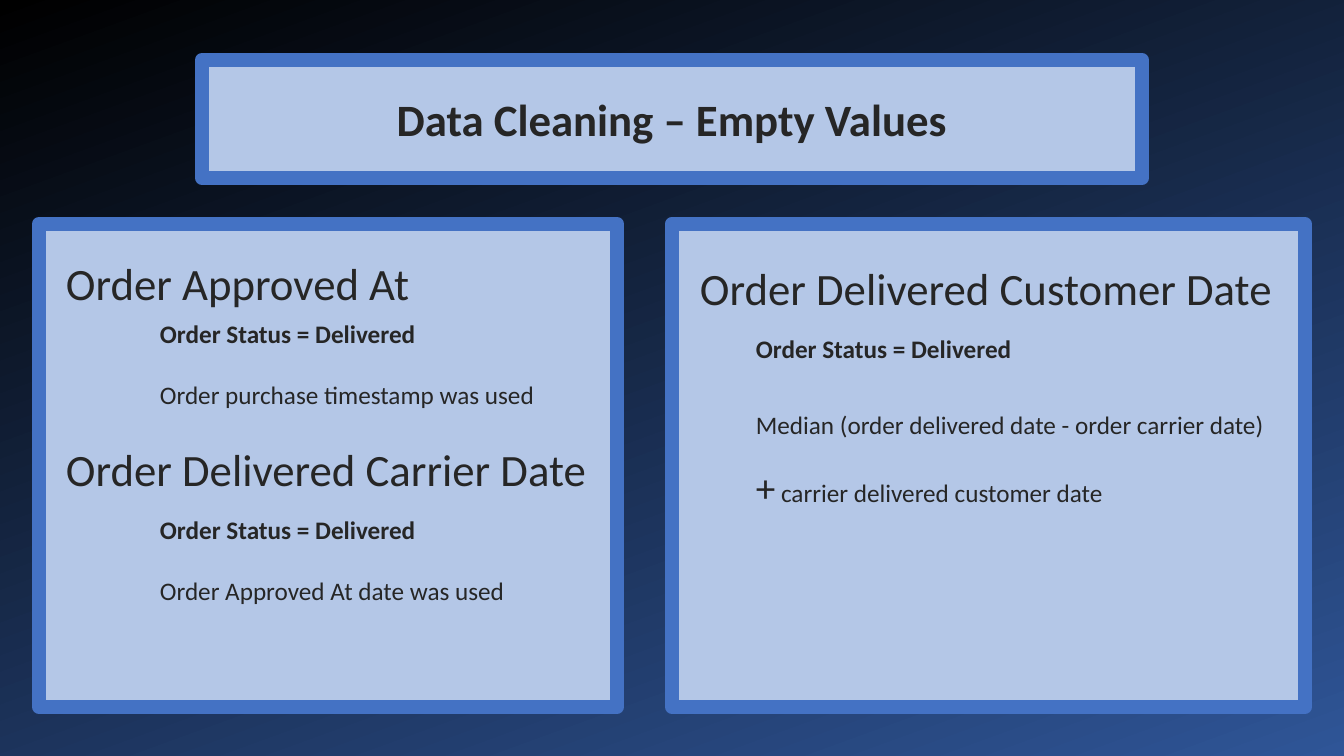
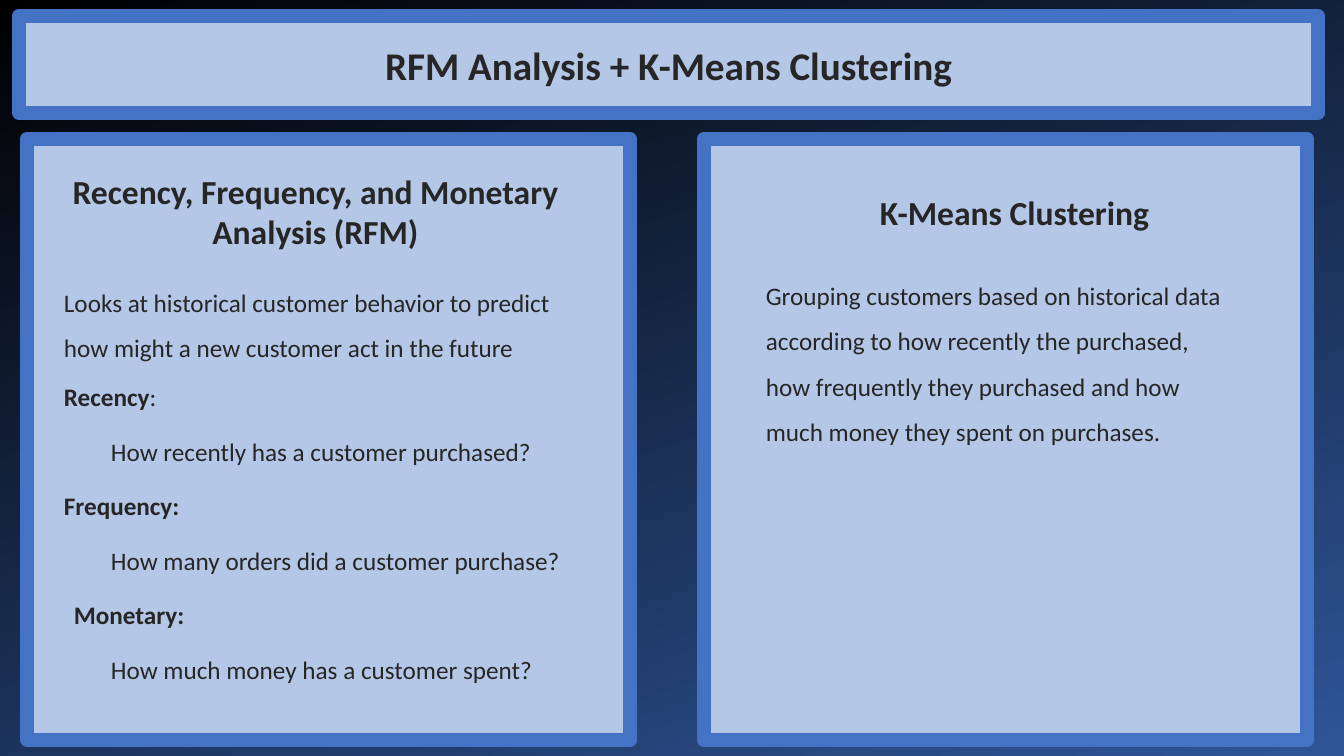
from pptx import Presentation
from pptx.dml.color import RGBColor
from pptx.enum.shapes import MSO_SHAPE
from pptx.enum.text import MSO_ANCHOR, MSO_AUTO_SIZE, PP_ALIGN
from pptx.util import Emu, Pt

SCALE = 914400 / 100.8
SLIDE_SIZE = (1344, 756)
TITLE_ONLY = 5

BLACK = RGBColor(0x00, 0x00, 0x00)
DEEP_BLUE = RGBColor(0x2F, 0x55, 0x97)
PANEL_BLUE = RGBColor(0xB4, 0xC7, 0xE7)
BORDER_BLUE = RGBColor(0x44, 0x72, 0xC4)
INK = RGBColor(0x26, 0x26, 0x26)

FONT = "Calibri"
BORDER = Pt(10)
BODY_SIZE = 18
CENTERED = {"alignment": PP_ALIGN.CENTER}
AIRY = {"line_spacing": 1.5}
AFTER_GAP = {"space_before": Pt(22)}


def px(length):
    """Turn pixels into EMU."""
    return Emu(round(length * SCALE))


def apply(target, values):
    """Set each named attribute of the target."""
    for name, value in values.items():
        setattr(target, name, value)


def place(shape, area):
    """Move a shape to a left, top, width, height area in pixels."""
    apply(shape, dict(zip(("left", "top", "width", "height"), map(px, area))))


def write(para, text, size=BODY_SIZE, bold=False):
    """Add one formatted run to a paragraph."""
    span = para.add_run()
    span.text = text
    apply(span.font, {"name": FONT, "size": Pt(size), "bold": bold})
    span.font.color.rgb = INK


def paint_panel(shape):
    """Give a shape the shared panel fill and thick border."""
    shape.fill.solid()
    shape.fill.fore_color.rgb = PANEL_BLUE
    shape.line.color.rgb = BORDER_BLUE
    shape.line.width = BORDER


def add_panel(page, area):
    """Add a bordered content panel."""
    panel = page.shapes.add_shape(MSO_SHAPE.RECTANGLE, *map(px, area))
    panel.shadow.inherit = False
    paint_panel(panel)


def add_text(page, area, *paragraphs):
    """Add a text box from pairs of paragraph format and runs."""
    frame = page.shapes.add_textbox(*map(px, area)).text_frame
    frame.word_wrap = True
    for index, (layout, runs) in enumerate(paragraphs):
        para = frame.add_paragraph() if index else frame.paragraphs[0]
        apply(para, layout)
        for run in runs:
            write(para, *run)


def add_heading(page, area, text):
    """Add a large left-aligned heading."""
    add_text(page, area, ({}, [(text, 32)]))


def add_subtitle(page, area, text):
    """Add a bold centred panel heading."""
    add_text(page, area, (CENTERED, [(text, 24, True)]))


def add_rule(page, area, *methods):
    """Add the delivered status followed by how empty values are filled."""
    status = ({}, [("Order Status = Delivered", BODY_SIZE, True)])
    add_text(page, area, status, *methods)


def add_page(deck, title, area, size):
    """Add a slide whose title is a bordered band."""
    page = deck.slides.add_slide(deck.slide_layouts[TITLE_ONLY])
    band = page.shapes.title
    place(band, area)
    paint_panel(band)
    apply(band.text_frame, {"word_wrap": True, "auto_size": MSO_AUTO_SIZE.NONE,
                            "vertical_anchor": MSO_ANCHOR.MIDDLE})
    para = band.text_frame.paragraphs[0]
    apply(para, CENTERED)
    write(para, title, size, True)
    return page


def set_backdrop(deck):
    """Give the master a slanted gradient background."""
    fill = deck.slide_master.background.fill
    fill.gradient()
    fill.gradient_angle = 290
    for stop, color, position in zip(fill.gradient_stops, (BLACK, DEEP_BLUE), (0, 1)):
        stop.color.rgb = color
        stop.position = position


def build_cleaning(deck):
    """Build the slide on empty values."""
    page = add_page(deck, "Data Cleaning – Empty Values", (202, 60, 940, 118), 32)
    for left, width in ((39, 578), (672, 633)):
        add_panel(page, (left, 224, width, 483))

    for top, heading, rule_top, method in (
        (251, "Order Approved At", 313, "Order purchase timestamp was used"),
        (437, "Order Delivered Carrier Date", 509, "Order Approved At date was used"),
    ):
        add_heading(page, (56, top, 555, 65), heading)
        add_rule(page, (150, rule_top, 410, 102), (AFTER_GAP, [(method,)]))

    add_heading(page, (690, 256, 608, 65), "Order Delivered Customer Date")
    add_rule(
        page, (746, 328, 541, 180),
        (AIRY | AFTER_GAP, [("Median (order delivered date - order carrier date)",)]),
        (AIRY, [("+", 28), (" carrier delivered customer date",)]),
    )


def build_clustering(deck):
    """Build the slide on RFM analysis and clustering."""
    page = add_page(deck, "RFM Analysis + K-Means Clustering", (19, 16, 1299, 97), 28)
    for left in (27, 704):
        add_panel(page, (left, 139, 603, 601))

    add_subtitle(page, (34, 166, 563, 92),
                 "Recency, Frequency, and Monetary Analysis (RFM)")
    add_text(page, (54, 267, 523, 97), (AIRY, [(
        "Looks at historical customer behavior to predict "
        "how might a new customer act in the future",)]))

    measures = (
        (54, [("Recency", BODY_SIZE, True), (":",)],
         "How recently has a customer purchased?"),
        (54, [("Frequency:", BODY_SIZE, True)],
         "How many orders did a customer purchase?"),
        (64, [("Monetary:", BODY_SIZE, True)],
         "How much money has a customer spent?"),
    )
    for row, (left, term, question) in enumerate(measures):
        top = 376 + 109 * row
        add_text(page, (left, top, 140, 40), ({}, term))
        add_text(page, (101, top + 55, 490, 40), ({}, [(question,)]))

    add_subtitle(page, (733, 187, 563, 50), "K-Means Clustering")
    add_text(page, (756, 260, 487, 188), (AIRY, [(
        "Grouping customers based on historical data according to how recently "
        "the purchased, how frequently they purchased and how much money they "
        "spent on purchases.",)]))


def main():
    """Build and save the deck."""
    deck = Presentation()
    deck.slide_width, deck.slide_height = map(px, SLIDE_SIZE)
    set_backdrop(deck)
    build_cleaning(deck)
    build_clustering(deck)
    deck.save("out.pptx")


main()
